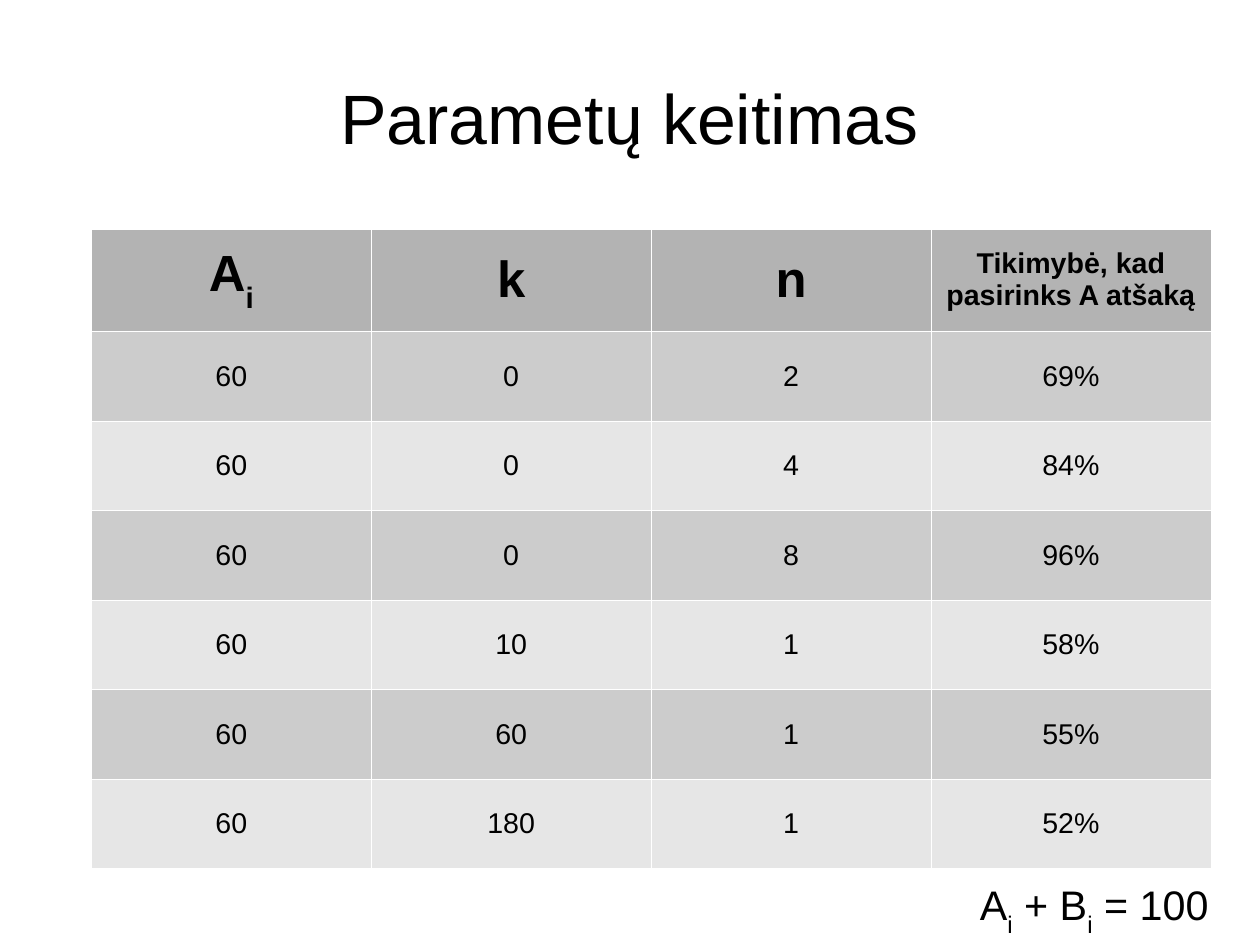
from dataclasses import dataclass

from lxml import etree
from pptx import Presentation
from pptx.dml.color import RGBColor
from pptx.enum.text import MSO_ANCHOR, PP_ALIGN
from pptx.oxml.ns import qn
from pptx.util import Pt

CENTER = PP_ALIGN.CENTER
MIDDLE = MSO_ANCHOR.MIDDLE
FONT = "Arial"
COLORS = {"text": "000000", "header": "B3B3B3", "odd": "CCCCCC",
          "even": "E6E6E6", "border": "FFFFFF"}
SLIDE_WIDTH, SLIDE_HEIGHT = 793.75, 595.25
BORDER_WIDTH = 0.06
COL_WIDTH, HEADER_HEIGHT, ROW_HEIGHT = 176.3, 64.8, 56.4


@dataclass
class Run:
    text: str
    size: float
    bold: bool = False
    subscript: bool = False


@dataclass
class Label:
    left: float
    top: float
    width: float
    height: float
    runs: list[Run]


TITLE = Label(39.6, 23.76, 714.24, 99.36, [Run("Parametų keitimas", 44)])
FORMULA = Label(594, 532.8, 190.8, 79.2, [
    Run("A", 26), Run("i", 26, subscript=True), Run(" + B", 26),
    Run("i", 26, subscript=True), Run(" = 100", 26)])
HEADER = [
    [Run("A", 32, True), Run("i", 32, True, True)],
    [Run("k", 32, True)],
    [Run("n", 32, True)],
    [Run("Tikimybė, kad pasirinks A atšaką", 18, True)],
]
VALUES = [
    ("60", "0", "2", "69%"),
    ("60", "0", "4", "84%"),
    ("60", "0", "8", "96%"),
    ("60", "10", "1", "58%"),
    ("60", "60", "1", "55%"),
    ("60", "180", "1", "52%"),
]


def add_runs(p, runs: list[Run]) -> None:
    p.alignment = CENTER
    for run in runs:
        r = p.add_run()
        r.text = run.text
        r.font.name = FONT
        r.font.size = Pt(run.size)
        r.font.bold = run.bold
        r.font.color.rgb = RGBColor.from_string(COLORS["text"])
        if run.subscript:
            r._r.get_or_add_rPr().set("baseline", "-33000")


def add_label(s, label: Label) -> None:
    sp = s.shapes.add_textbox(Pt(label.left), Pt(label.top),
                              Pt(label.width), Pt(label.height))
    tf = sp.text_frame
    tf.word_wrap = True
    tf.vertical_anchor = MIDDLE
    tf.margin_left = tf.margin_top = tf.margin_right = tf.margin_bottom = 0
    add_runs(tf.paragraphs[0], label.runs)


def set_borders(cell) -> None:
    tc_pr = cell._tc.get_or_add_tcPr()
    for side in ("a:lnL", "a:lnR", "a:lnT", "a:lnB"):
        ln = etree.SubElement(tc_pr, qn(side), w=str(Pt(BORDER_WIDTH)))
        fill = etree.SubElement(ln, qn("a:solidFill"))
        etree.SubElement(fill, qn("a:srgbClr"), val=COLORS["border"])


def fill_cell(cell, runs: list[Run], color: str) -> None:
    set_borders(cell)
    cell.fill.solid()
    cell.fill.fore_color.rgb = RGBColor.from_string(COLORS[color])
    cell.vertical_anchor = MIDDLE
    cell.margin_left = cell.margin_right = Pt(7.2)
    cell.margin_top = cell.margin_bottom = Pt(3.6)
    add_runs(cell.text_frame.paragraphs[0], runs)


def add_parameter_table(s) -> None:
    rows = [HEADER] + [[[Run(value, 18)] for value in row] for row in VALUES]
    height = HEADER_HEIGHT + len(VALUES) * ROW_HEIGHT
    table = s.shapes.add_table(len(rows), len(HEADER), Pt(57.6), Pt(144),
                               Pt(COL_WIDTH * len(HEADER)), Pt(height)).table
    table.first_row = table.horz_banding = False
    for column in table.columns:
        column.width = Pt(COL_WIDTH)
    for i, row in enumerate(rows):
        table.rows[i].height = Pt(ROW_HEIGHT if i else HEADER_HEIGHT)
        color = "header" if i == 0 else "odd" if i % 2 else "even"
        for j, runs in enumerate(row):
            fill_cell(table.cell(i, j), runs, color)


def main() -> None:
    prs = Presentation()
    prs.slide_width, prs.slide_height = Pt(SLIDE_WIDTH), Pt(SLIDE_HEIGHT)
    s = prs.slides.add_slide(prs.slide_layouts[6])

    # Title, table and the formula below it
    add_label(s, TITLE)
    add_parameter_table(s)
    add_label(s, FORMULA)

    prs.save("out.pptx")


if __name__ == "__main__":
    main()
